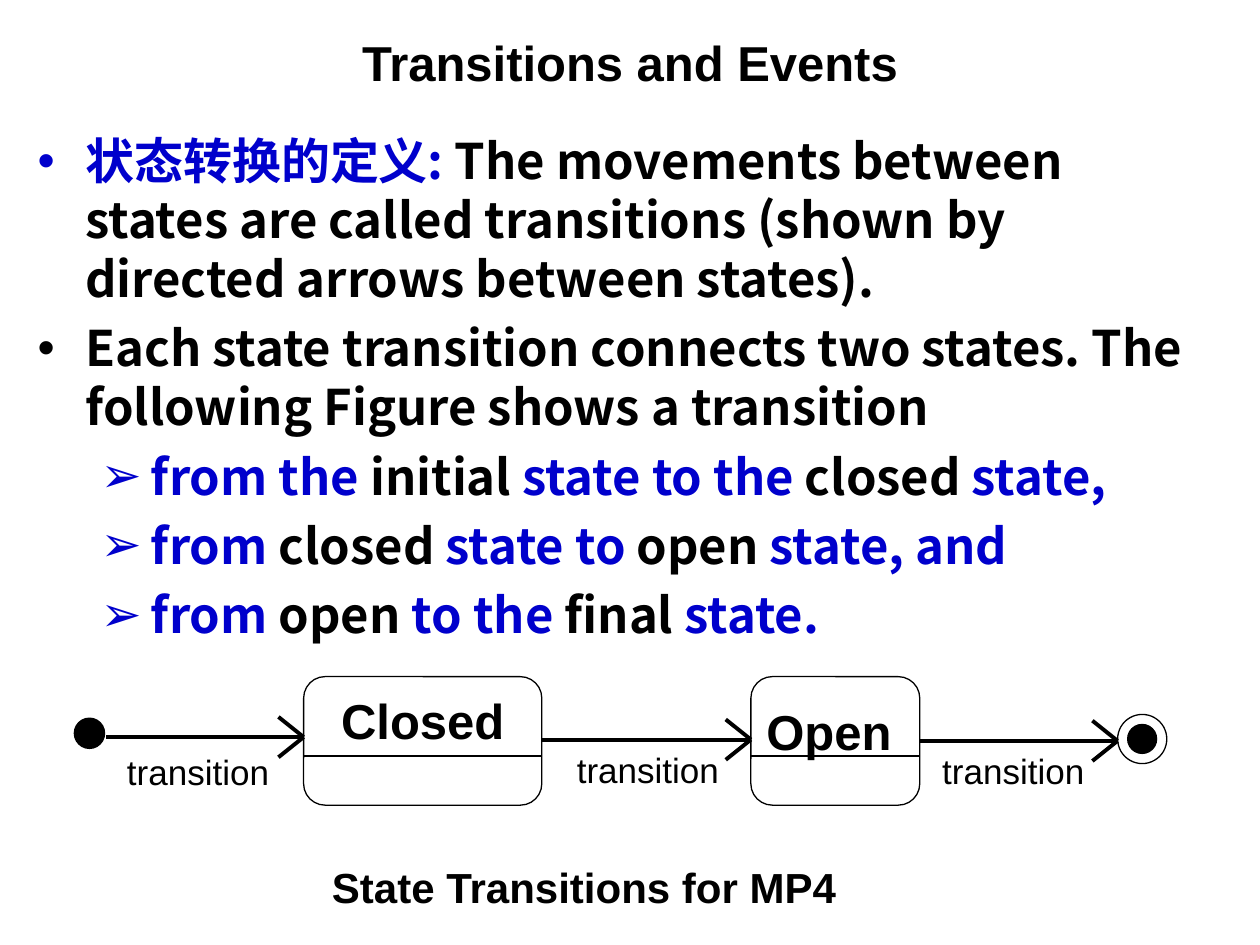
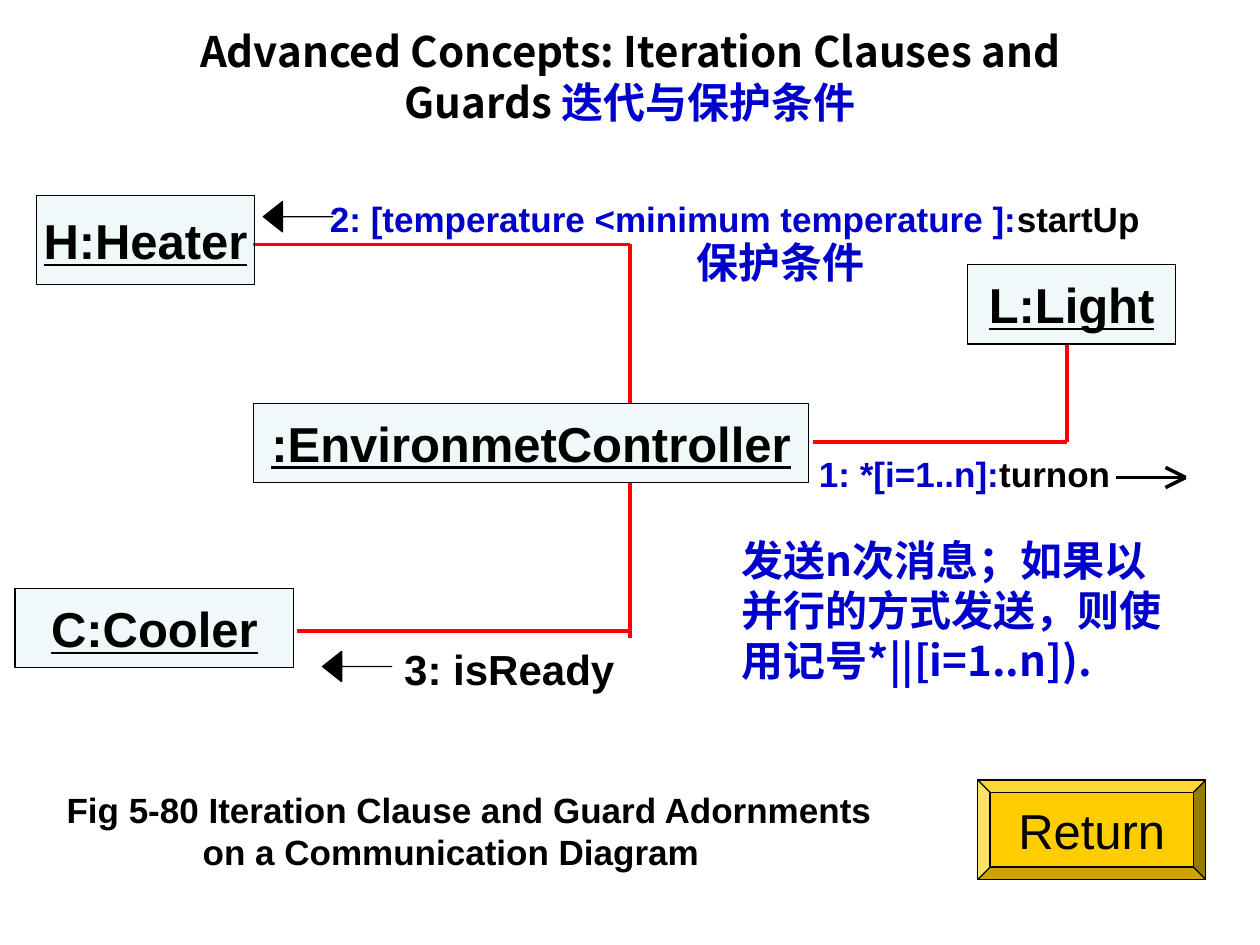
import pptx
import pptx.util
import pptx.dml.color
import pptx.enum.shapes
import pptx.enum.text
import pptx.oxml
import pptx.oxml.ns
from lxml import etree

Inches = pptx.util.Inches
Pt = pptx.util.Pt
SHAPE = pptx.enum.shapes.MSO_SHAPE
ALIGN = pptx.enum.text.PP_ALIGN
ANCHOR = pptx.enum.text.MSO_ANCHOR
qn = pptx.oxml.ns.qn

COLORS = {
    "black": "000000",
    "white": "FFFFFF",
    "blue": "0000CC",
    "red": "FF0000",
    "object": "BBE0E3",
    "gold": "FFCC00",
}
ARIAL = "Arial"
NOTO = "Noto Sans CJK SC"


def rgb(name):
    return pptx.dml.color.RGBColor.from_string(COLORS[name])


def write(p, runs, size, font=ARIAL, bold=False, underline=False):
    if isinstance(runs, str):
        runs = [(runs, "black")]
    for text, color in runs:
        if text == "\n":
            p.add_line_break()
            continue
        r = p.add_run()
        r.text = text
        r.font.size = Pt(size)
        r.font.bold = bold
        r.font.underline = underline
        r.font.color.rgb = rgb(color)
        r.font.name = font
        ea = etree.SubElement(r._r.get_or_add_rPr(), qn("a:ea"))
        ea.set("typeface", font)


def set_indent(p, left, first, bullet=None, color="black"):
    pPr = p._p.get_or_add_pPr()
    pPr.set("marL", str(Inches(left)))
    pPr.set("indent", str(Inches(first)))
    if bullet:
        clr = etree.SubElement(pPr, qn("a:buClr"))
        etree.SubElement(clr, qn("a:srgbClr")).set("val", COLORS[color])
        etree.SubElement(pPr, qn("a:buFont")).set("typeface", ARIAL)
        etree.SubElement(pPr, qn("a:buChar")).set("char", bullet)


def add_text(slide, box, runs, size, align=ALIGN.LEFT, anchor=ANCHOR.TOP,
             wrap=True, inset=True, **style):
    s = slide.shapes.add_textbox(*map(Inches, box))
    tf = s.text_frame
    tf.word_wrap = wrap
    tf.vertical_anchor = anchor
    if not inset:
        tf.margin_left = tf.margin_right = tf.margin_top = tf.margin_bottom = 0
    p = tf.paragraphs[0]
    p.alignment = align
    write(p, runs, size, **style)
    return tf


def add_title(slide, top, height, runs, size, font=ARIAL):
    add_text(slide, (0.5, top, 9, height), runs, size, ALIGN.CENTER,
             ANCHOR.MIDDLE, font=font, bold=True)


def add_shape(slide, kind, box, fill=None, adjustments=()):
    s = slide.shapes.add_shape(kind, *map(Inches, box))
    s.shadow.inherit = False
    if fill:
        s.fill.solid()
        s.fill.fore_color.rgb = rgb(fill)
    else:
        s.fill.background()
    s.line.color.rgb = rgb("black")
    s.line.width = Pt(0.75)
    for i, value in enumerate(adjustments):
        s.adjustments[i] = value
    return s


def label_shape(s, text, **style):
    tf = s.text_frame
    tf.word_wrap = False
    tf.vertical_anchor = ANCHOR.MIDDLE
    p = tf.paragraphs[0]
    p.alignment = ALIGN.CENTER
    write(p, text, 28, **style)
    return tf


def add_line(slide, start, end, color="black", width=0.75):
    c = slide.shapes.add_connector(
        pptx.enum.shapes.MSO_CONNECTOR.STRAIGHT, *map(Inches, start + end))
    c.line.color.rgb = rgb(color)
    c.line.width = Pt(width)
    etree.SubElement(c._element.spPr, qn("a:effectLst"))


def add_open_arrow(slide, x1, x2, y, depth, half, width):
    add_line(slide, (x1, y), (x2, y), width=width)
    for side in (-half, half):
        add_line(slide, (x2 - depth, y + side), (x2, y), width=width)


def add_state(slide, left, width, name, text_top, right_inset):
    top, height, divider = 5.37, 1.02, 6
    s = add_shape(slide, SHAPE.ROUNDED_RECTANGLE, (left, top, width, height),
                  "white", [0.167])
    tf = label_shape(s, name, bold=True)
    tf.vertical_anchor = ANCHOR.TOP
    tf.margin_top = Inches(text_top)
    tf.margin_bottom = 0
    tf.margin_left = Inches(0.06)
    tf.margin_right = Inches(right_inset)
    add_line(slide, (left, divider), (left + width, divider))


def add_object(slide, box, name):
    s = add_shape(slide, SHAPE.RECTANGLE, box, "object")
    clr = s._element.spPr.find(".//" + qn("a:srgbClr"))
    etree.SubElement(clr, qn("a:alpha")).set("val", "20000")
    label_shape(s, name, bold=True, underline=True)


def add_left_arrow(slide, left, top):
    add_shape(slide, SHAPE.LEFT_ARROW, (left, top, 0.55, 0.24), "black", [0, 0.632])


def add_bullets(slide, box, items):
    levels = {0: (0.38, -0.38, "•"), 1: (0.9, -0.4, "➢")}
    s = slide.shapes.add_textbox(*map(Inches, box))
    tf = s.text_frame
    tf.word_wrap = True
    for i, (level, color, runs) in enumerate(items):
        p = tf.add_paragraph() if i else tf.paragraphs[0]
        set_indent(p, *levels[level], color)
        if i:
            p.space_before = Pt(6)
        write(p, runs, 28, NOTO, bold=True)


def build_transitions(slide):
    add_title(slide, 0.3, 0.38, "Transitions and Events", 28)
    add_bullets(slide, (0.2, 0.99, 9.5, 4.17), [
        (0, "blue", [
            ("状态转换的定义: ", "blue"),
            ("The movements between states are called transitions "
             "(shown by directed arrows between states).", "black")]),
        (0, "black", "Each state transition connects two states. "
                     "The following Figure shows a transition"),
        (1, "blue", [("from the ", "blue"), ("initial", "black"),
                     (" state to the ", "blue"), ("closed", "black"),
                     (" state,", "blue")]),
        (1, "blue", [("from ", "blue"), ("closed", "black"),
                     (" state to ", "blue"), ("open", "black"),
                     (" state, and", "blue")]),
        (1, "blue", [("from ", "blue"), ("open", "black"),
                     (" to the ", "blue"), ("final", "black"),
                     (" state.", "blue")]),
    ])
    add_state(slide, 2.41, 1.89, "Closed", 0.06, 0.06)
    add_state(slide, 5.96, 1.34, "Open", 0.15, 0.16)
    add_shape(slide, SHAPE.OVAL, (0.59, 5.7, 0.24, 0.24), "black")
    add_shape(slide, SHAPE.OVAL, (8.87, 5.67, 0.39, 0.39))
    add_shape(slide, SHAPE.OVAL, (8.95, 5.75, 0.23, 0.23), "black")
    for x1, x2, y, label_left, label_top in [
        (0.84, 2.41, 5.85, 0.91, 5.91),
        (4.3, 5.96, 5.87, 4.48, 5.89),
        (7.3, 8.87, 5.88, 7.38, 5.9),
    ]:
        add_open_arrow(slide, x1, x2, y, 0.2, 0.16, 2.25)
        add_text(slide, (label_left, label_top, 1.33, 0.44), "transition", 20,
                 wrap=False)
    add_text(slide, (1.88, 6.79, 5.51, 0.5), "State Transitions for MP4", 24,
             ALIGN.CENTER, bold=True)


def build_guards(slide):
    add_title(slide, 0.14, 0.93, [
        ("Advanced Concepts: Iteration Clauses and", "black"), ("\n", "black"),
        ("Guards ", "black"), ("迭代与保护条件", "blue")], 24, NOTO)
    for start, end in [
        ((5, 1.94), (5, 3.2)),
        ((2.01, 1.94), (5, 1.94)),
        ((5, 3.83), (5, 5.06)),
        ((2.36, 5.01), (5, 5.01)),
        ((8.47, 2.73), (8.47, 3.51)),
        ((6.45, 3.51), (8.47, 3.51)),
    ]:
        add_line(slide, start, end, "red", 2)
    for box, name in [
        ((0.29, 1.55, 1.73, 0.71), "H:Heater"),
        ((7.68, 2.1, 1.65, 0.63), "L:Light"),
        ((0.12, 4.67, 2.21, 0.63), "C:Cooler"),
        ((2.01, 3.2, 4.41, 0.63), ":EnvironmetController"),
    ]:
        add_object(slide, box, name)

    add_text(slide, (2.52, 1.52, 6.73, 0.44), [
        ("2: [temperature <minimum temperature ]:", "blue"),
        ("startUp", "black")], 20, bold=True)
    add_left_arrow(slide, 2.09, 1.6)
    add_text(slide, (5.43, 1.83, 1.53, 0.5), [("保护条件", "blue")], 24,
             wrap=False, font=NOTO, bold=True)
    add_text(slide, (3.11, 5.06, 1.89, 0.5), "3: isReady", 24, bold=True)
    add_left_arrow(slide, 2.56, 5.17)
    add_text(slide, (6.5, 3.59, 2.6, 0.33), [
        ("1: *[i=1..n]:", "blue"), ("turnon", "black")], 20,
        inset=False, bold=True)
    add_open_arrow(slide, 8.86, 9.41, 3.79, 0.16, 0.08, 2)
    add_text(slide, (5.79, 4.19, 3.7, 1.3), [
        ("发送n次消息；如果以并行的方式发送，则使用记号*||[i=1..n]).", "blue")],
        24, font=NOTO, bold=True)

    tf = add_text(slide, (0.43, 6.27, 6.68, 0.79),
                  "Fig 5-80 Iteration Clause and Guard Adornments", 20, bold=True)
    p = tf.add_paragraph()
    set_indent(p, 1.08, 0)
    p.space_before = Pt(5)
    write(p, "on a Communication Diagram", 20, bold=True)
    for p in tf.paragraphs:
        p.line_spacing = 0.8

    button = add_shape(slide, SHAPE.BEVEL, (7.76, 6.19, 1.81, 0.79), "gold", [0.125])
    label_shape(button, "Return")


def main():
    prs = pptx.Presentation()
    prs.slide_width = Inches(10)
    prs.slide_height = Inches(7.5)
    for build in (build_transitions, build_guards):
        build(prs.slides.add_slide(prs.slide_layouts[6]))
    prs.save("out.pptx")


if __name__ == "__main__":
    main()
